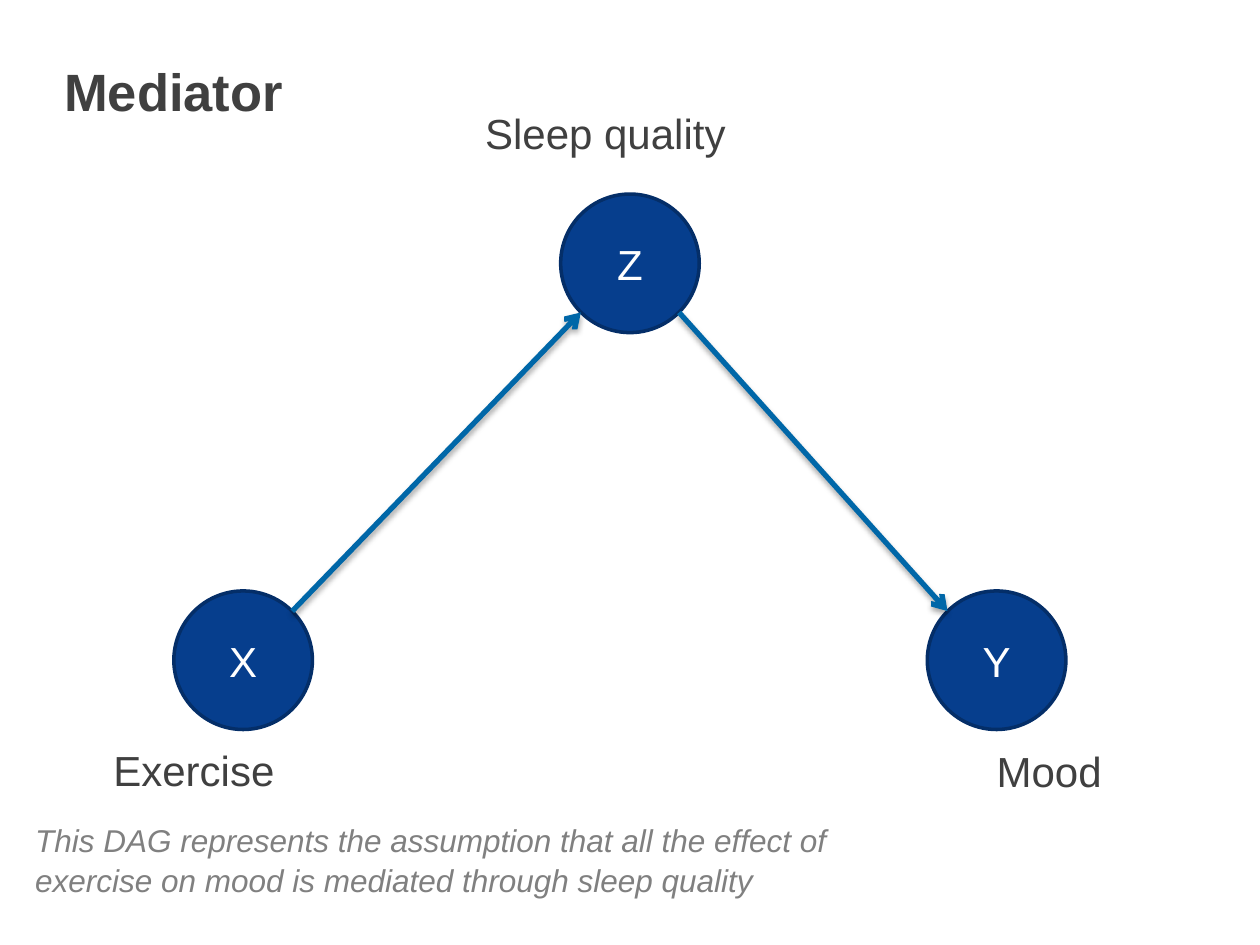
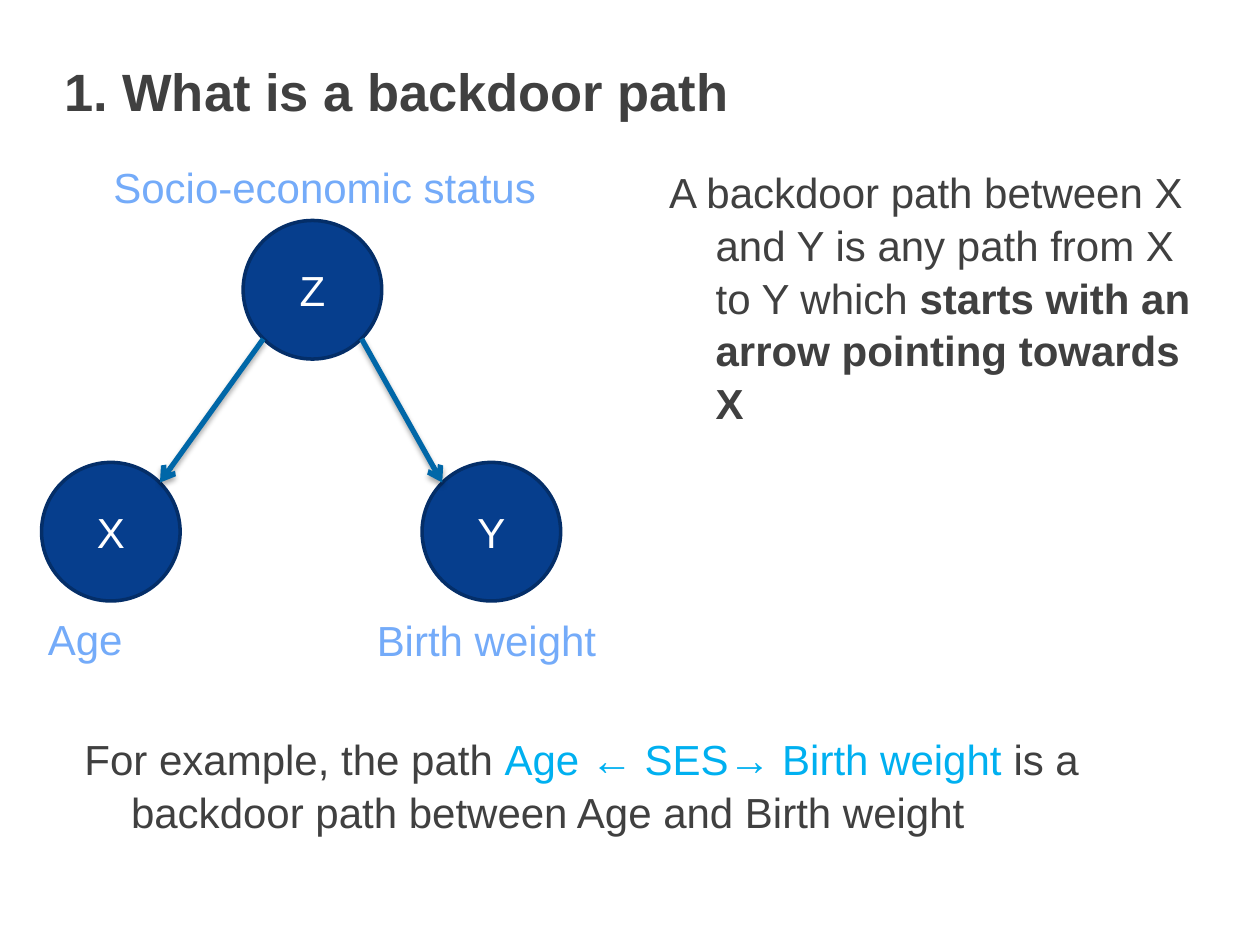
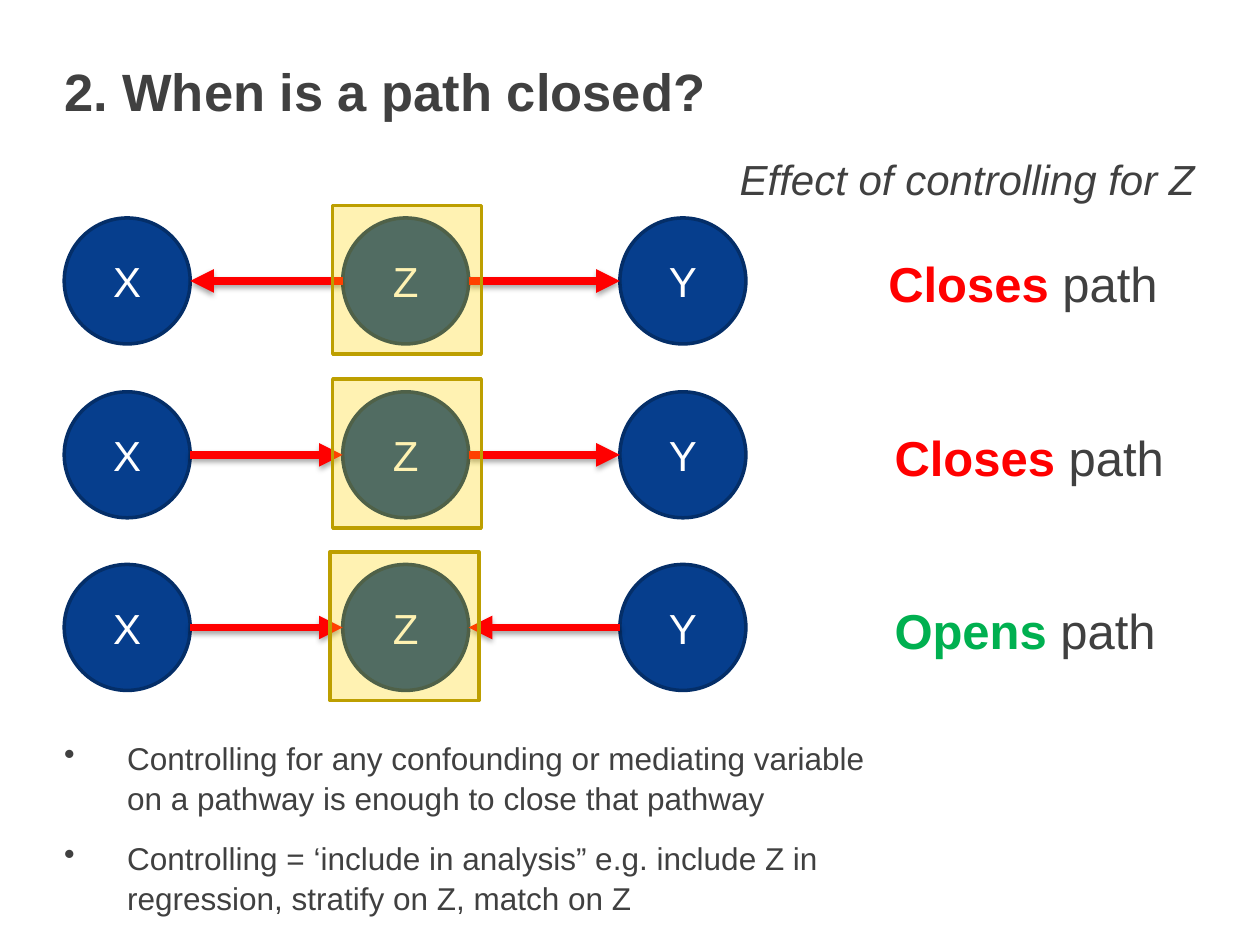
"""Build three slides on mediators, backdoor paths and closed paths."""
from lxml import etree
from pptx import Presentation
from pptx.dml.color import RGBColor
from pptx.enum.shapes import MSO_CONNECTOR, MSO_SHAPE
from pptx.enum.text import MSO_ANCHOR, MSO_AUTO_SIZE, PP_ALIGN
from pptx.oxml import parse_xml
from pptx.oxml.ns import qn
from pptx.util import Pt

PX = 9144
LINE = MSO_CONNECTOR.STRAIGHT
OVAL, RECT = MSO_SHAPE.OVAL, MSO_SHAPE.RECTANGLE
TOP, MID = MSO_ANCHOR.TOP, MSO_ANCHOR.MIDDLE
LEFT, CENTER = PP_ALIGN.LEFT, PP_ALIGN.CENTER
FIXED = MSO_AUTO_SIZE.NONE
FONT = "Arial"
DARK, GREY, WHITE = "404040", "808080", "FFFFFF"
NAVY, EDGE, BLUE = "063E8D", "042E68", "0067A8"
PALE, CYAN = "74ABF9", "00B0F0"
RED, GREEN = "FF0000", "00B050"
GOLD, OCHRE = "FFD700", "BD9F00"
SHADE = (
    '<a:effectLst xmlns:a="http://schemas.openxmlformats.org/drawingml/2006/main">'
    '<a:outerShdw blurRad="40000" dist="23000" dir="5400000" rotWithShape="0">'
    '<a:srgbClr val="000000"><a:alpha val="35000"/></a:srgbClr>'
    "</a:outerShdw></a:effectLst>"
)
rgb = RGBColor.from_string


def write(shape, box, *paras, size=24, color=DARK, bold=False, italic=False,
          align=LEFT, anchor=TOP, gap=1.05, before=12, hang=0, bullet=None):
    """Place a shape and fill it; a paragraph is a string or a list of (text, color, bold)."""
    shape.left, shape.top, shape.width, shape.height = [n * PX for n in box]
    frame = shape.text_frame
    frame.word_wrap = True
    frame.auto_size = FIXED
    frame.vertical_anchor = anchor
    frame.margin_left = frame.margin_right = frame.margin_top = frame.margin_bottom = 0
    for i, runs in enumerate(paras):
        para = frame.add_paragraph() if i else frame.paragraphs[0]
        para.alignment = align
        para.line_spacing = gap
        para.space_before = Pt(before)
        props = para._p.get_or_add_pPr()
        if hang:
            props.set("marL", str(hang * PX))
            props.set("indent", str(-hang * PX))
        if bullet:
            etree.SubElement(props, qn("a:buChar")).set("char", bullet)
        for words, tint, heavy in [(runs, color, bold)] if isinstance(runs, str) else runs:
            run = para.add_run()
            run.text = words
            font = run.font
            font.name, font.size = FONT, Pt(size)
            font.bold, font.italic = heavy, italic
            font.color.rgb = rgb(tint)


def graph(page, nodes, links, size=110, color=BLUE, width=3, head="arrow"):
    """Draw lettered discs from their corners, and arrows from rim to rim."""
    for name, (x, y) in nodes.items():
        disc = page.shapes.add_shape(OVAL, 0, 0, 0, 0)
        disc.shadow.inherit = False
        disc.fill.solid()
        disc.fill.fore_color.rgb = rgb(NAVY)
        disc.line.color.rgb = rgb(EDGE)
        disc.line.width = Pt(2)
        write(disc, (x, y, size, size), name, color=WHITE, align=CENTER,
              anchor=MID, gap=1, before=0)
    for start, end in links:
        (x1, y1), (x2, y2) = nodes[start], nodes[end]
        way = [(x2 > x1) - (x2 < x1), (y2 > y1) - (y2 < y1)]
        reach = round(size / 2 * (0.71 if all(way) else 1))
        dx, dy = [reach * n for n in way]
        mid = size // 2
        ends = (x1 + mid + dx, y1 + mid + dy, x2 + mid - dx, y2 + mid - dy)
        arrow = page.shapes.add_connector(LINE, *[n * PX for n in ends])
        arrow.line.color.rgb = rgb(color)
        arrow.line.width = Pt(width)
        etree.SubElement(arrow.line._get_or_add_ln(), qn("a:tailEnd")).set("type", head)
        arrow._element.spPr.append(parse_xml(SHADE))


deck = Presentation()
deck.slide_width, deck.slide_height = 1000 * PX, 750 * PX
pages = []
for name in ["Mediator", "1. What is a backdoor path", "2. When is a path closed?"]:
    page = deck.slides.add_slide(deck.slide_layouts[5])
    write(page.shapes.title, (51, 47, 898, 50), name, size=30, bold=True, gap=1, before=0)
    pages.append(page)
chain, fork, rules = pages

graph(chain, {"X": (138, 469), "Y": (736, 469), "Z": (445, 154)}, ["ZY", "XZ"])
graph(fork, {"X": (33, 367), "Y": (335, 367), "Z": (193, 175)}, ["ZY", "ZX"])

rows = [
    (173, ["ZY", "ZX"], 264, 705, "Closes", RED),
    (311, ["XZ", "ZY"], 264, 710, "Closes", RED),
    (448, ["YZ", "XZ"], 262, 710, "Opens", GREEN),
]
notes = []
for y, links, left, side, verb, tint in rows:
    graph(rules, {"X": (51, y), "Z": (272, y), "Y": (492, y)}, links,
          size=100, color=RED, width=4.5, head="triangle")
    pane = rules.shapes.add_shape(RECT, left * PX, (y - 10) * PX, 118 * PX, 118 * PX)
    pane.shadow.inherit = False
    pane.fill.solid()
    pane.fill.fore_color.rgb = rgb(GOLD)
    tone = pane.fill._xPr.find(".//" + qn("a:srgbClr"))
    etree.SubElement(tone, qn("a:alpha")).set("val", "30000")
    pane.line.color.rgb = rgb(OCHRE)
    pane.line.width = Pt(2)
    notes.append((rules, (side, y + 26, 236, 47),
                  [[(verb, tint, True), (" path", DARK, False)]], {"size": 28, "hang": 37}))

notes += [
    (chain, (28, 650, 677, 61),
     ["This DAG represents the assumption that all the effect of exercise on mood "
      "is mediated through sleep quality"],
     {"size": 18, "color": GREY, "italic": True, "before": 0}),
    (chain, (385, 83, 229, 36), ["Sleep quality"], {}),
    (chain, (90, 589, 229, 36), ["Exercise"], {}),
    (chain, (791, 590, 110, 36), ["Mood"], {}),
    (fork, (531, 130, 418, 250),
     [[("A backdoor path between X and Y is any path from X to Y which ", DARK, False),
       ("starts with an arrow pointing towards X", DARK, True)]], {"hang": 37}),
    (fork, (67, 580, 921, 110),
     [[("For example, the path ", DARK, False),
       ("Age ← SES→ Birth weight ", CYAN, False),
       ("is a backdoor path between Age and Birth weight", DARK, False)]], {"hang": 37}),
    (fork, (90, 126, 343, 36), ["Socio-economic status"], {"color": PALE}),
    (fork, (38, 485, 90, 36), ["Age"], {"color": PALE}),
    (fork, (299, 486, 201, 36), ["Birth weight"], {"color": PALE}),
    (rules, (587, 120, 402, 37), ["Effect of controlling for Z"],
     {"italic": True, "hang": 37}),
    (rules, (51, 585, 646, 152),
     ["Controlling for any confounding or mediating variable on a pathway is enough "
      "to close that pathway",
      "Controlling = ‘include in analysis” e.g. include Z in regression, stratify on Z, "
      "match on Z"], {"size": 18, "hang": 50, "bullet": "•"}),
]
for page, box, paras, style in notes:
    write(page.shapes.add_textbox(0, 0, 0, 0), box, *paras, **style)

deck.save("out.pptx")
